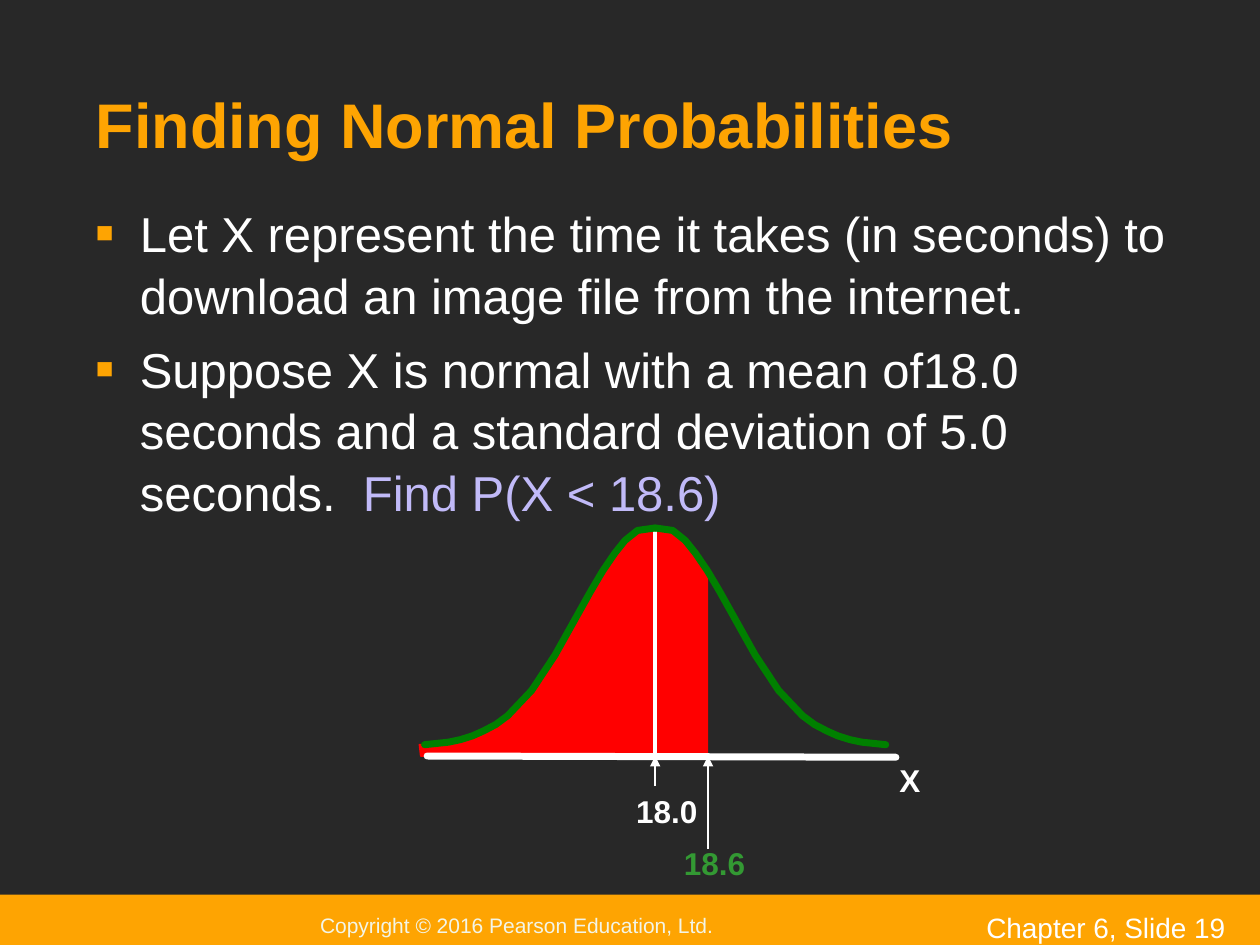
import pptx
import pptx.dml.color
import pptx.enum.dml
import pptx.enum.shapes
import pptx.enum.text
import pptx.util
from lxml import etree
from pptx.oxml.ns import qn

COLUMNS, ROWS = 100, 75
CELL = pptx.util.Inches(0.1)
ORANGE, WHITE, RED, GREEN = "FEA402", "FFFFFF", "FF0000", "008000"
MEAN, CUTOFF, AXIS = 52, 56.2, 60
HALF_CURVE = [(0, 41.9), (1.4, 42.1), (2.4, 42.9), (3.2, 43.9), (4.15, 45.3),
              (5.1, 46.9), (6.05, 48.6), (7.95, 52), (9.8, 54.8), (11.7, 56.8),
              (12.65, 57.5), (13.6, 58), (14.5, 58.4), (15.45, 58.7),
              (16.4, 58.9), (18.3, 59.1)]


def grid(*cells):
    """Turn columns and rows into slide lengths."""
    return [round(cell * CELL) for cell in cells]


def color(value):
    """Turn a hex string into a colour."""
    return pptx.dml.color.RGBColor.from_string(value)


def add_text(paragraph, text, size=18, fill=WHITE, bold=False):
    """Add a formatted run to a paragraph."""
    run = paragraph.add_run()
    run.text = text
    run.font.name = "Arial"
    run.font.size = pptx.util.Pt(size)
    run.font.bold = bold
    run.font.color.rgb = color(fill)


def add_label(shapes, text, place, wrap=False, **text_format):
    """Add a text box with one line."""
    frame = shapes.add_textbox(*grid(*place)).text_frame
    frame.word_wrap = wrap
    add_text(frame.paragraphs[0], text, **text_format)


def place_placeholder(placeholder, place):
    """Move a placeholder and fix its text size."""
    placeholder.left, placeholder.top, placeholder.width, placeholder.height = grid(*place)
    frame = placeholder.text_frame
    frame.auto_size = pptx.enum.text.MSO_AUTO_SIZE.NONE
    frame.margin_left = frame.margin_right = pptx.util.Inches(0.09)
    return frame


def add_bullet(paragraph):
    """Give a paragraph a small square bullet with a hanging indent."""
    properties = paragraph._p.get_or_add_pPr()
    indent = pptx.util.Inches(0.35)
    properties.set("marL", str(indent))
    properties.set("indent", str(-indent))
    bullet_color = etree.SubElement(properties, qn("a:buClr"))
    etree.SubElement(bullet_color, qn("a:srgbClr"), val=ORANGE)
    etree.SubElement(properties, qn("a:buSzPct"), val="60000")
    etree.SubElement(properties, qn("a:buFont"), typeface="Arial")
    etree.SubElement(properties, qn("a:buChar"), char="■")


def add_list(frame, items):
    """Fill a text frame with bulleted paragraphs of (text, colour) parts."""
    for index, parts in enumerate(items):
        paragraph = frame.add_paragraph() if index else frame.paragraphs[0]
        add_bullet(paragraph)
        paragraph.line_spacing = 1.05
        paragraph.space_before = pptx.util.Pt(7 if index else 0)
        for text, fill in parts:
            add_text(paragraph, text, size=28, fill=fill)


def add_outline(shapes, points, fill=None, line=None, width=1):
    """Draw a filled area or an open line through grid points."""
    start, *others = [grid(*point) for point in points]
    builder = shapes.build_freeform(*start, scale=1.0)
    builder.add_line_segments(others, close=fill is not None)
    shape = builder.convert_to_shape()
    shape.shadow.inherit = False
    if fill:
        shape.fill.solid()
        shape.fill.fore_color.rgb = color(fill)
    else:
        shape.fill.background()
    if line:
        shape.line.color.rgb = color(line)
        shape.line.width = pptx.util.Pt(width)
        outline = shape.line._get_or_add_ln()
        outline.set("cap", "rnd")
        etree.SubElement(outline, qn("a:round"))
    else:
        shape.line.fill.background()


def add_arrow(shapes, column, bottom):
    """Draw an arrow from a label up to the axis."""
    connector = shapes.add_connector(pptx.enum.shapes.MSO_CONNECTOR.STRAIGHT,
                                     *grid(column, bottom, column, AXIS))
    connector.line.color.rgb = color(WHITE)
    connector.line.width = pptx.util.Pt(1)
    etree.SubElement(connector.line._get_or_add_ln(), qn("a:tailEnd"), type="triangle")
    etree.SubElement(connector._element.spPr, qn("a:effectLst"))


def add_normal_curve(shapes):
    """Draw the bell curve with the area below the cutoff shaded."""
    right = [(MEAN + offset, row) for offset, row in HALF_CURVE]
    left = [(MEAN - offset, row) for offset, row in HALF_CURVE]
    shaded = [point for point in right if point[0] <= CUTOFF]
    add_outline(shapes, [(MEAN, AXIS), *shaded, (CUTOFF, 45.4), (CUTOFF, AXIS)], fill=RED)
    add_outline(shapes, [*left, (33.3, 59.1), (33.4, AXIS), (MEAN, AXIS)],
                fill=RED, line=RED)
    add_outline(shapes, [(MEAN, 42), (MEAN, AXIS)], line=WHITE, width=2.5)
    for half in (right, left):
        add_outline(shapes, half, line=GREEN, width=4)
    add_outline(shapes, [(33.9, AXIS), (71.1, AXIS + 0.1)], line=WHITE, width=4)
    add_label(shapes, "X", (70.4, 59.9, 4.2, 4), wrap=True, bold=True)
    add_label(shapes, "18.0", (49.5, 62.4, 6.9, 4), bold=True)
    add_label(shapes, "18.6", (53.3, 66.5, 6.9, 4), fill="339933", bold=True)
    add_arrow(shapes, MEAN, 62.4)
    add_arrow(shapes, CUTOFF, 67.4)


def add_footer(shapes):
    """Draw the footer band with its copyright line and slide number."""
    band = shapes.add_shape(pptx.enum.shapes.MSO_SHAPE.RECTANGLE,
                            *grid(0, 71, COLUMNS, 4.9))
    band.shadow.inherit = False
    band.fill.solid()
    band.fill.fore_color.rgb = color(ORANGE)
    band.line.fill.background()
    frame = band.text_frame
    frame.margin_left = pptx.util.Inches(2.54)
    frame.margin_top = frame.margin_right = frame.margin_bottom = 0
    frame.vertical_anchor = pptx.enum.text.MSO_ANCHOR.MIDDLE
    paragraph = frame.paragraphs[0]
    paragraph.alignment = pptx.enum.text.PP_ALIGN.LEFT
    add_text(paragraph, "Copyright © 2016 Pearson Education, Ltd.", size=12, fill="F3F5E7")
    add_label(shapes, "Chapter 6, Slide 19", (77.3, 71.8, 23.3, 2.6), wrap=True, size=16)


def main():
    """Build the slide and save it."""
    presentation = pptx.Presentation()
    presentation.slide_width, presentation.slide_height = grid(COLUMNS, ROWS)
    slide = presentation.slides.add_slide(presentation.slide_layouts[1])
    slide.background.fill.solid()
    slide.background.fill.fore_color.rgb = color("282828")
    add_footer(slide.shapes)

    title = place_placeholder(slide.shapes.title, (6.7, 2.5, 86.7, 10.8))
    title.vertical_anchor = pptx.enum.text.MSO_ANCHOR.BOTTOM
    title.paragraphs[0].alignment = pptx.enum.text.PP_ALIGN.LEFT
    add_text(title.paragraphs[0], "Finding Normal Probabilities",
             size=36, fill=ORANGE, bold=True)

    body = place_placeholder(slide.placeholders[1], (6.7, 15.4, 88.3, 35.1))
    add_list(body, [
        [("Let X represent the time it takes (in seconds) to download an image file "
          "from the internet.", WHITE)],
        [("Suppose X is normal with a mean of18.0 seconds and a standard deviation "
          "of 5.0 seconds.  ", WHITE), ("Find P(X < 18.6)", "C1BAF8")],
    ])
    add_normal_curve(slide.shapes.add_group_shape().shapes)
    presentation.save("out.pptx")


if __name__ == "__main__":
    main()
